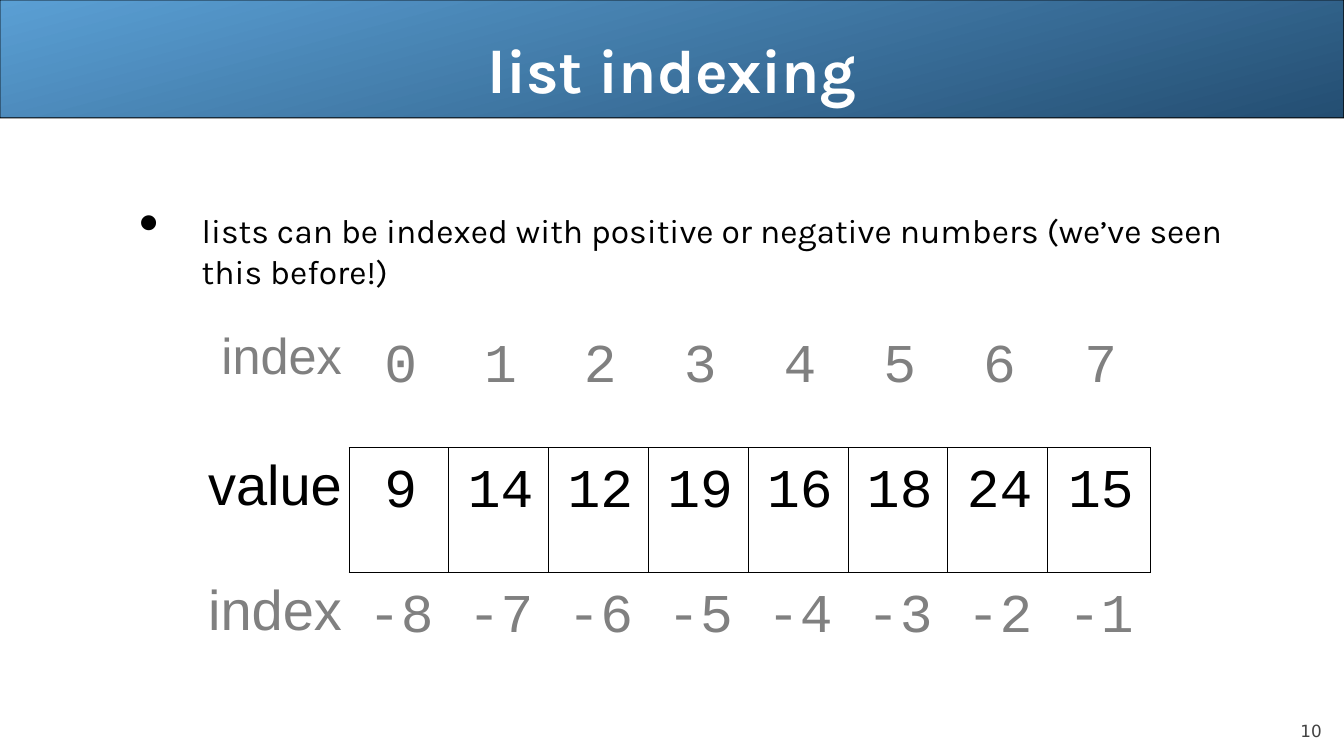
from lxml import etree
from pptx import Presentation
from pptx.dml.color import RGBColor
from pptx.enum.shapes import MSO_SHAPE as Shape
from pptx.enum.text import MSO_ANCHOR as Anchor, PP_ALIGN as Align
from pptx.oxml.ns import qn
from pptx.util import Inches, Pt

COLORS = {
    "banner_light": "5A9FD4",
    "banner_dark": "244E72",
    "title": "FFFFFF",
    "ink": "000000",
    "index": "808080",
    "page": "424242",
}
VALUES = [9, 14, 12, 19, 16, 18, 24, 15]
COUNT = len(VALUES)
# label, label size, colour, numbers
ROWS = [
    ("index", 36, "index", range(COUNT)),
    ("value", 40, "ink", VALUES),
    ("index", 40, "index", range(-COUNT, 0)),
]


def rgb(name):
    return RGBColor.from_string(COLORS[name])


def style(paragraph, face, size, color, align, bold=False):
    paragraph.alignment = align
    font = paragraph.font
    font.name, font.size, font.bold = face, Pt(size), bold
    font.color.rgb = rgb(color)


def add_text(slide, box, text, anchor, inset):
    """Add a wrapped text box and return its only paragraph."""
    frame = slide.shapes.add_textbox(*map(Inches, box)).text_frame
    frame.word_wrap = True
    frame.vertical_anchor = anchor
    frame.margin_left = frame.margin_right = Inches(inset)
    frame.margin_top = frame.margin_bottom = Inches(inset)
    paragraph = frame.paragraphs[0]
    paragraph.text = text
    return paragraph


def add_banner(slide, left, top, width, height):
    banner = slide.shapes.add_shape(
        Shape.ROUNDED_RECTANGLE, *map(Inches, (left, top, width, height)))
    banner.adjustments[0] = 0.001
    banner.shadow.inherit = False
    banner.fill.gradient()
    banner.fill.gradient_angle = 285
    for stop, color in zip(banner.fill.gradient_stops, ("banner_light", "banner_dark")):
        stop.color.rgb = rgb(color)
    banner.line.color.rgb = rgb("ink")
    banner.line.width = Pt(0.75)
    title = add_text(slide, (left + 2.64, top + 0.29, width - 5.28, 0.78),
                     "list indexing", Anchor.MIDDLE, 0.06)
    style(title, "Karla", 44, "title", Align.CENTER, bold=True)


def add_bullet(slide, box):
    point = add_text(
        slide, box,
        "lists can be indexed with positive or negative numbers (we’ve seen this before!)",
        Anchor.MIDDLE, 0.06)
    props = point._p.get_or_add_pPr()
    props.set("marL", str(Inches(0.97)))
    props.set("indent", str(Inches(-0.62)))
    bullet_color = etree.SubElement(props, qn("a:buClr"))
    etree.SubElement(bullet_color, qn("a:srgbClr"), val=COLORS["ink"])
    etree.SubElement(props, qn("a:buSzPct"), val="171000")
    etree.SubElement(props, qn("a:buChar"), char="•")
    style(point, "Karla", 24, "ink", Align.LEFT)


def ruled_sides(row, column):
    """Name the sides of a cell that border the boxed values."""
    if column == 0:
        return "R" if row == 1 else ""
    return ("B", "LRTB", "T")[row]


def set_borders(cell, ruled):
    props = cell._tc.get_or_add_tcPr()
    for side in "LRTB":
        line = etree.SubElement(props, qn(f"a:ln{side}"), w=str(Pt(0.45)))
        if side in ruled:
            fill = etree.SubElement(line, qn("a:solidFill"))
            etree.SubElement(fill, qn("a:srgbClr"), val=COLORS["ink"])
        else:
            etree.SubElement(line, qn("a:noFill"))


def fill_cell(cell, text, inset, top_inset, spacing):
    """Write the text of a cell and return its paragraph."""
    cell.fill.background()
    cell.margin_left = cell.margin_right = cell.margin_bottom = Inches(inset)
    cell.margin_top = Inches(top_inset)
    paragraph = cell.text_frame.paragraphs[0]
    paragraph.text = text
    paragraph.line_spacing = spacing
    paragraph._p.get_or_add_pPr().set("marL", str(Inches(0.04)))
    return paragraph


def add_index_table(slide, left, top, width, height):
    table = slide.shapes.add_table(
        len(ROWS), COUNT + 1, *map(Inches, (left, top, width, height))).table
    table.first_row = table.horz_banding = False
    for column, size in zip(table.columns, [1.56] + [0.99] * (COUNT - 1) + [1.02]):
        column.width = Inches(size)
    for r, (label, label_size, color, numbers) in enumerate(ROWS):
        table.rows[r].height = Inches(height / len(ROWS))
        for c, entry in enumerate([label, *numbers]):
            cell = table.cell(r, c)
            set_borders(cell, ruled_sides(r, c))
            if c == 0:
                paragraph = fill_cell(cell, entry, 0.07, 0.11 if r else 0.1, 0.93)
                style(paragraph, "Arial", label_size, color, Align.RIGHT)
            else:
                paragraph = fill_cell(cell, str(entry), 0.13, 0.14, 0.98)
                style(paragraph, "Courier New", 39, color, Align.CENTER)


def add_page_number(slide, box):
    page = add_text(slide, box, "10", Anchor.BOTTOM, 0)
    style(page, "DejaVu Sans", 12, "page", Align.RIGHT)


def main():
    deck = Presentation()
    deck.slide_width, deck.slide_height = Inches(13.33), Inches(7.5)
    slide = deck.slides.add_slide(deck.slide_layouts[6])
    add_banner(slide, 0, 0, 13.33, 1.17)
    add_page_number(slide, (12, 6.95, 1.11, 0.4))
    add_bullet(slide, (0.97, 1.77, 11.45, 1.43))
    add_index_table(slide, 1.9, 3.2, 9.49, 3.72)
    deck.save("out.pptx")


if __name__ == "__main__":
    main()
